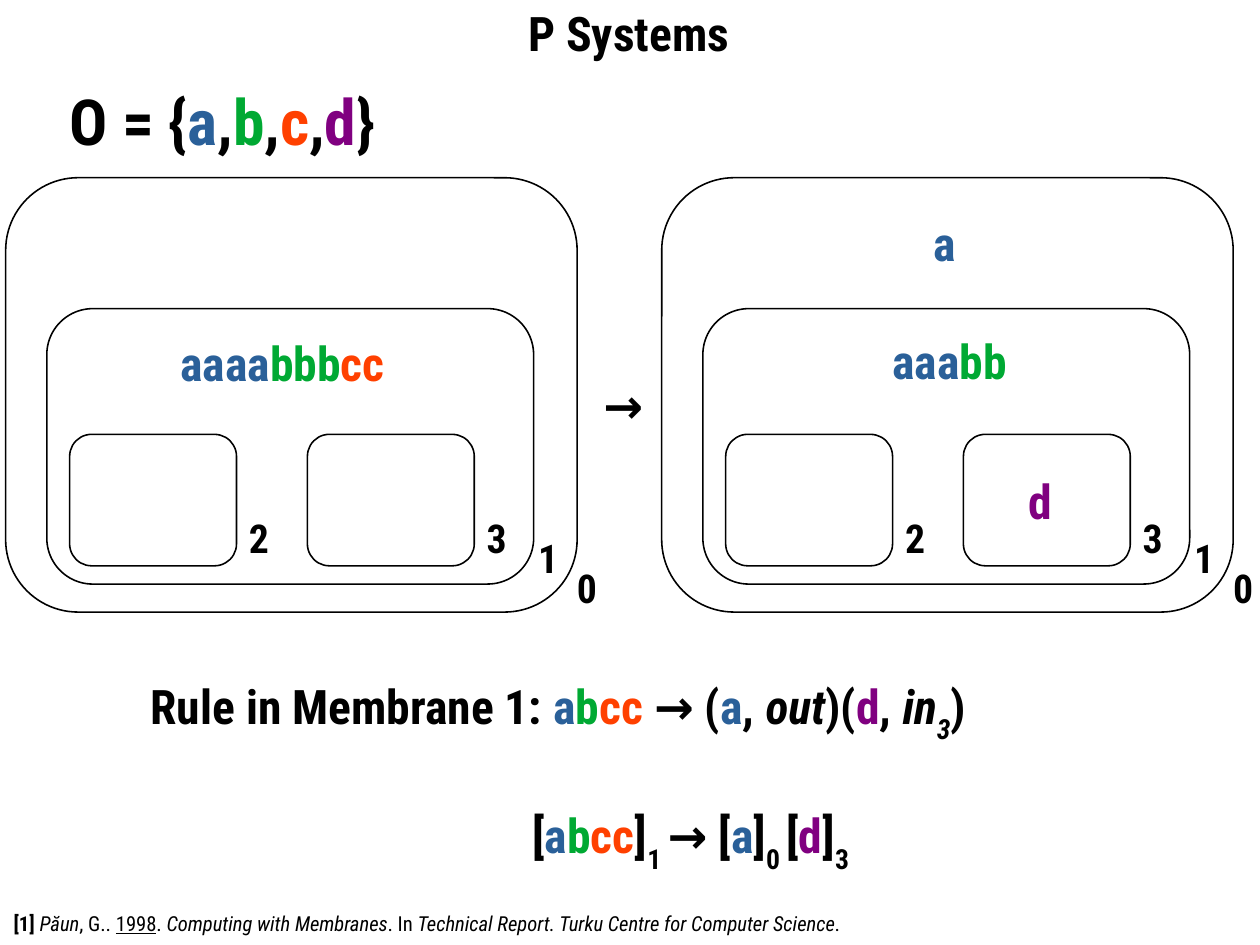
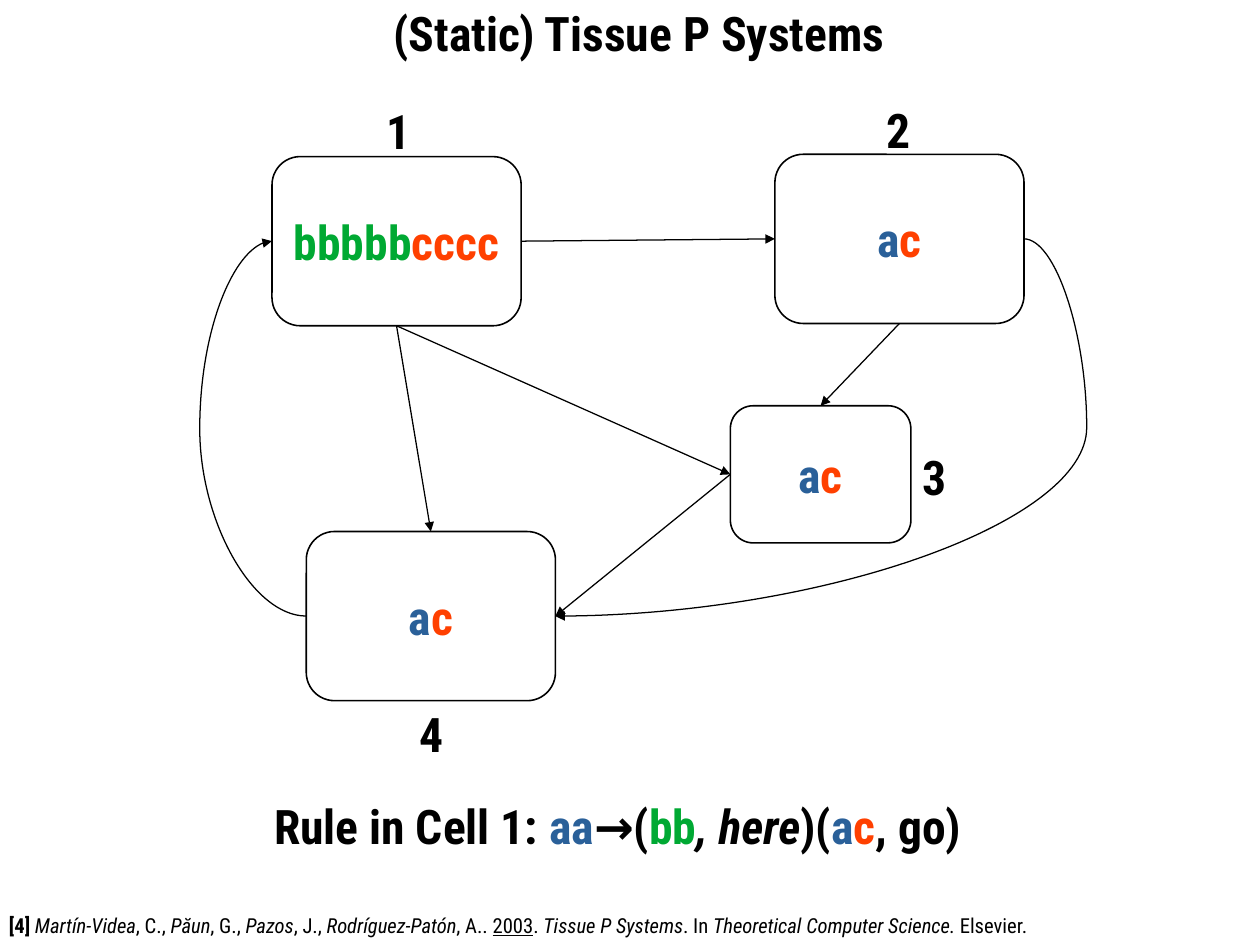
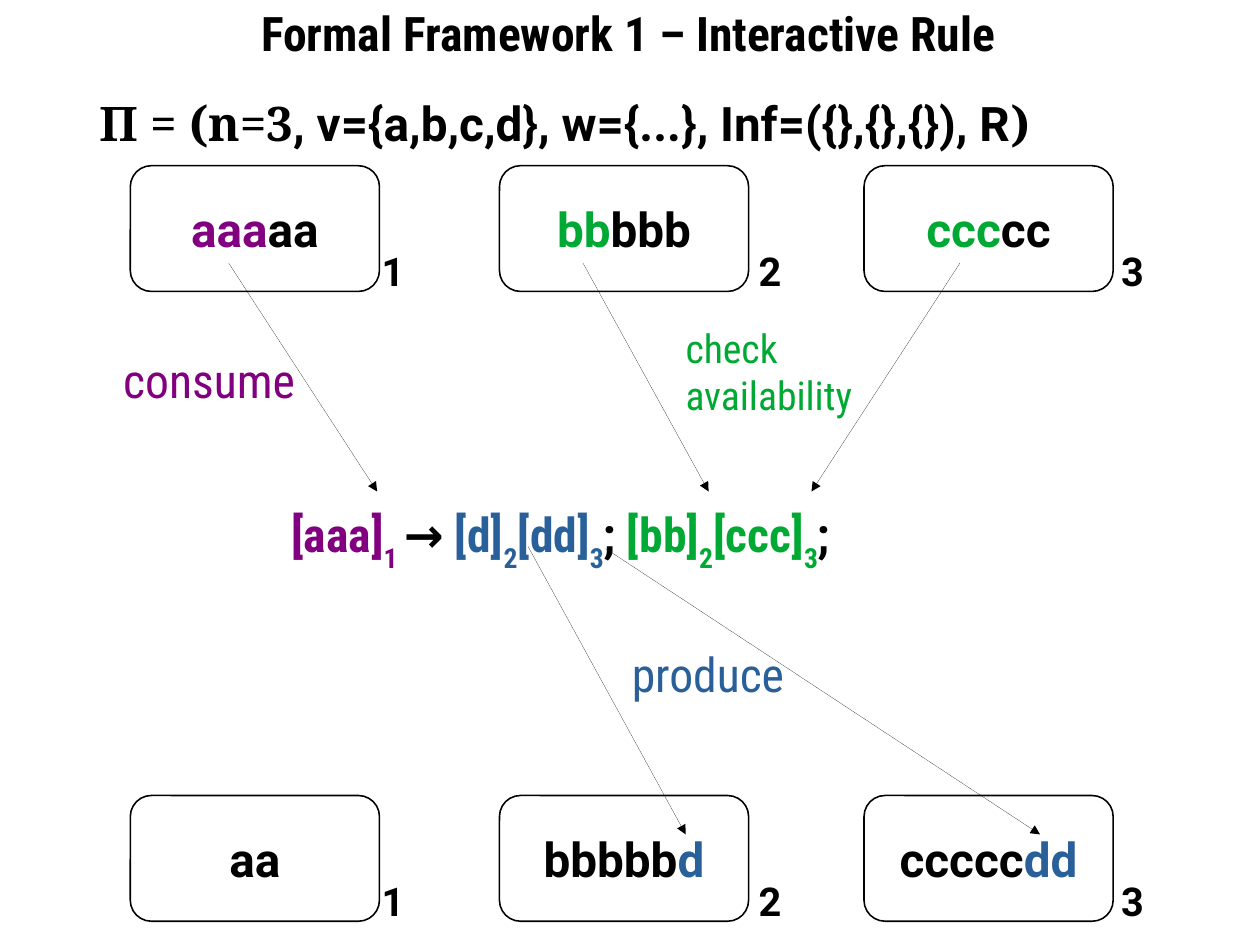
from itertools import groupby

from lxml import etree
from pptx import Presentation
from pptx.dml.color import RGBColor
from pptx.enum.shapes import MSO_CONNECTOR, MSO_SHAPE
from pptx.enum.text import MSO_ANCHOR, MSO_AUTO_SIZE, PP_ALIGN
from pptx.oxml.ns import qn
from pptx.util import Inches, Pt

SLIDE_WIDTH, SLIDE_HEIGHT = Pt(793.75), Pt(595.25)

# Grid: every position and length is counted in cells
CELL = Inches(0.1)
COLUMNS = 110.2

INK = RGBColor(0x00, 0x00, 0x00)
BLUE = RGBColor(0x2A, 0x60, 0x99)
GREEN = RGBColor(0x00, 0xA9, 0x33)
ORANGE = RGBColor(0xFF, 0x40, 0x00)
PURPLE = RGBColor(0x80, 0x00, 0x80)
OBJECT_COLORS = {"a": BLUE, "b": GREEN, "c": ORANGE, "d": PURPLE}

CONDENSED, ROBOTO, SERIF = "Roboto Condensed", "Roboto", "Noto Serif"
BODY, LABEL, NOTE = 30, 25, 13

ROUNDED = MSO_SHAPE.ROUNDED_RECTANGLE
STRAIGHT, CURVE = MSO_CONNECTOR.STRAIGHT, MSO_CONNECTOR.CURVE
MIDDLE, CENTER = MSO_ANCHOR.MIDDLE, PP_ALIGN.CENTER
NO_FIT = MSO_AUTO_SIZE.NONE
TOP, LEFT, BOTTOM, RIGHT = range(4)


def cells(*counts):
    return [round(count * CELL) for count in counts]


# Text: a run is (text, colour, style, font); style letters are
# i italic, u underlined, s subscript
def run(text, color=INK, style="", font=None):
    return text, color, style, font


def symbols(text):
    """Runs with each object letter in its own colour."""
    groups = groupby(text, lambda letter: OBJECT_COLORS.get(letter, INK))
    return [run("".join(letters), color) for color, letters in groups]


def write(paragraph, runs, size=BODY, font=CONDENSED, bold=True):
    for text, color, style, own_font in runs:
        piece = paragraph.add_run()
        piece.text = text
        piece.font.size = Pt(size)
        piece.font.name = own_font or font
        piece.font.bold = bold
        piece.font.color.rgb = color
        if "i" in style:
            piece.font.italic = True
        if "u" in style:
            piece.font.underline = True
        if "s" in style:
            piece._r.get_or_add_rPr().set("baseline", "-33000")


def add_text(slide, left, top, width, height, *lines, **style):
    frame = slide.shapes.add_textbox(*cells(left, top, width, height)).text_frame
    frame.word_wrap = True
    for number, runs in enumerate(lines):
        paragraph = frame.add_paragraph() if number else frame.paragraphs[0]
        write(paragraph, runs, **style)
    return frame


def add_label(slide, left, top, text, size=LABEL, font=CONDENSED):
    add_text(slide, left, top, 3.2, 5.6, [run(text)], size=size, font=font)


def add_footnote(slide, left, top, number, runs):
    frame = add_text(slide, left, top, COLUMNS, 3.3, [run(number)], size=NOTE)
    write(frame.paragraphs[0], runs, size=NOTE, bold=False)


def add_membrane(slide, left, top, width, height, runs=(), font=CONDENSED):
    membrane = slide.shapes.add_shape(ROUNDED, *cells(left, top, width, height))
    membrane.adjustments[0] = 0.167
    membrane.shadow.inherit = False
    membrane.fill.background()
    membrane.line.color.rgb = INK
    membrane.line.width = Pt(1)
    if runs:
        frame = membrane.text_frame
        frame.word_wrap = False
        frame.vertical_anchor = MIDDLE
        frame.paragraphs[0].alignment = CENTER
        write(frame.paragraphs[0], runs, font=font)
    return membrane


def add_arrow(slide, kind=STRAIGHT, ends=(0, 0, 0, 0), width=0):
    arrow = slide.shapes.add_connector(kind, *cells(*ends))
    arrow.line.color.rgb = INK
    properties = arrow._element.spPr
    outline = properties.find(qn("a:ln"))
    outline.set("w", str(Pt(width)))  # a hairline needs its zero written out
    etree.SubElement(outline, qn("a:tailEnd"), type="triangle")
    etree.SubElement(properties, qn("a:effectLst"))
    return arrow


def join(slide, start, start_side, end, end_side, bend=None):
    """Arrow between two cells; bend (share of its width) makes it a curve."""
    arrow = add_arrow(slide, STRAIGHT if bend is None else CURVE, width=0.79)
    arrow.begin_connect(start, start_side)
    arrow.end_connect(end, end_side)
    if bend is not None:
        values = arrow._element.spPr.find(qn("a:prstGeom")).find(qn("a:avLst"))
        etree.SubElement(values, qn("a:gd"), name="adj1",
                         fmla=f"val {round(bend * 100000)}")


def add_titled_slide(deck, text, shift=0):
    slide = deck.slides.add_slide(deck.slide_layouts[5])
    title = slide.shapes.title
    title.left, title.top, title.width, title.height = cells(shift, 0.1, 110, 5.5)
    frame = title.text_frame
    frame.auto_size = NO_FIT
    frame.word_wrap = True
    frame.vertical_anchor = MIDDLE
    frame.margin_left = frame.margin_right = 0
    frame.margin_top = frame.margin_bottom = 0
    frame.paragraphs[0].alignment = CENTER
    write(frame.paragraphs[0], [run(text)])
    return slide


# Slide 1: nested membranes before and after a rule
def add_membrane_system(slide, left, contents):
    add_membrane(slide, left, 15.55, 50, 38)
    add_membrane(slide, left + 3.6, 27, 42.6, 24.1)
    for inner in (5.6, 26.4):
        add_membrane(slide, left + inner, 38, 14.6, 11.5)
    for across, top, number in ((49, 48.8, "0"), (45.6, 46.2, "1"),
                                (20.3, 44.5, "2"), (41.1, 44.5, "3")):
        add_label(slide, left + across, top, number)
    for across, top, objects in contents:
        add_text(slide, left + across, top, 21, 6.5, symbols(objects))


def build_p_systems(deck):
    slide = add_titled_slide(deck, "P Systems")
    add_text(slide, 5.1, 6.7, 32, 8, symbols("O = {a,b,c,d}"), size=40)
    add_membrane_system(slide, 0.5, [(14.3, 28.7, "aaaabbbcc")])
    add_membrane_system(slide, 57.9, [(22.8, 18.2, "a"), (19.2, 28.5, "aaabb"),
                                      (31.1, 40.8, "d")])
    add_text(slide, 51.8, 32.4, 6.8, 6.5, [run("→")])
    # The rule in words and in brackets
    add_text(slide, 12.2, 58.7, 80, 7,
             [run("Rule in Membrane 1: "), *symbols("ab"), run("cc ", ORANGE),
              *symbols("→ (a, "), run("out", style="i"), *symbols(")(d, "),
              run("in", style="i"), run("3", style="is"), run(")")])
    add_text(slide, 45.6, 70, 36, 7,
             [*symbols("[abcc]"), run("1 ", style="s"), *symbols("→ [a]"),
              run("0 ", style="s"), *symbols("[d]"), run("3", style="s")])
    add_footnote(slide, 0.2, 79.2, "[1] ", [
        run("Păun", style="i"), run(", G.. "), run("1998", style="u"), run(". "),
        run("Computing with Membranes", style="i"), run(". In "),
        run("Technical Report. Turku Centre for Computer Science", style="i"),
        run(".")])


# Slide 2: a graph of cells
def build_tissue_systems(deck):
    slide = add_titled_slide(deck, "(Static) Tissue P Systems", shift=0.9)
    wide, small = (21.8, 14.8), (15.8, 12)
    one, two, three, four = [
        add_membrane(slide, left, top, *size, symbols(objects))
        for left, top, size, objects in (
            (23.8, 13.7, wide, "bbbbbcccc"), (67.8, 13.5, wide, "ac"),
            (63.9, 35.5, small, "ac"), (26.8, 46.5, wide, "ac"))]
    for link in ((one, RIGHT, two, LEFT), (one, BOTTOM, three, LEFT),
                 (one, BOTTOM, four, TOP), (two, BOTTOM, three, TOP),
                 (two, RIGHT, four, RIGHT, -0.134), (three, LEFT, four, RIGHT),
                 (four, LEFT, one, LEFT, 3.106)):
        join(slide, *link)
    for left, top, number in ((32.8, 8.4, "1"), (76.6, 8.3, "2"),
                              (79.7, 38.7, "3"), (35.7, 61.2, "4")):
        add_label(slide, left, top, number, size=BODY)
    add_text(slide, 23, 69.2, 67, 7,
             [run("Rule in Cell 1: "), *symbols("aa→(bb"),
              run(", here", style="i"), *symbols(")(ac"), run(", go)")])
    add_footnote(slide, -0.2, 79.4, "[4] ", [
        run("Martín-Videa", style="i"), run(", C., "),
        run("Păun", style="i"), run(", G., "), run("Pazos", style="i"),
        run(", J., "), run("Rodríguez-Patón", style="i"), run(", A.. "),
        run("2003", style="u"), run(". "), run("Tissue P Systems", style="i"),
        run(". In "), run("Theoretical Computer Science. ", style="i"),
        run("Elsevier.")])


# Slide 3: cells before and after an interactive rule
def build_interactive_rule(deck):
    slide = add_titled_slide(deck, "Formal Framework 1 – Interactive Rule")
    add_text(slide, 7.7, 7.7, 94.8, 6.7,
             [run("Π = (n=3", font=SERIF),
              run(", v={a,b,c,d}, w={...}, Inf=({},{},{}), R"),
              run(")", font=SERIF)], font=ROBOTO)
    before = [[run("aaa", PURPLE), run("aa")], [run("bb", GREEN), run("bbb")],
              [run("ccc", GREEN), run("cc")]]
    after = [[run("aa")], [run("bbbbb"), run("d", BLUE)],
             [run("ccccc"), run("dd", BLUE)]]
    columns = ((11.4, 32.4), (43.7, 65.4), (75.6, 97.1))
    for top, row in ((14.5, before), (69.6, after)):
        for number, ((left, label_left), runs) in enumerate(zip(columns, row), 1):
            add_membrane(slide, left, top, 21.8, 11, runs, ROBOTO)
            add_label(slide, label_left, top + 6.6, str(number), font=ROBOTO)
    add_text(slide, 24.5, 43.7, 65, 6.8,
             [run("[aaa]", PURPLE), run("1 ", PURPLE, "s"), run("→ "),
              run("[d]", BLUE), run("2", BLUE, "s"),
              run("[dd]", BLUE), run("3", BLUE, "s"), run("; "),
              run("[bb]", GREEN), run("2", GREEN, "s"),
              run("[ccc]", GREEN), run("3", GREEN, "s"), run(";")])
    # Arrows from the cells to the rule and on to the results
    for ends in ((20, 23, 33, 43), (51, 23, 62, 43), (84, 23, 71, 43),
                 (46.2, 47.8, 60, 73), (53, 48, 91, 73)):
        add_arrow(slide, ends=ends)
    add_text(slide, 9.8, 30.2, 21.2, 6.5, [run("consume", PURPLE)], bold=False)
    add_text(slide, 54.3, 55.9, 18.7, 6.5, [run("produce", BLUE)], bold=False)
    add_text(slide, 59, 27.8, 20.6, 9.8, [run("check", GREEN)],
             [run("availability", GREEN)], size=LABEL, bold=False)


def main():
    deck = Presentation()
    deck.slide_width, deck.slide_height = SLIDE_WIDTH, SLIDE_HEIGHT
    build_p_systems(deck)
    build_tissue_systems(deck)
    build_interactive_rule(deck)
    deck.save("out.pptx")


if __name__ == "__main__":
    main()
